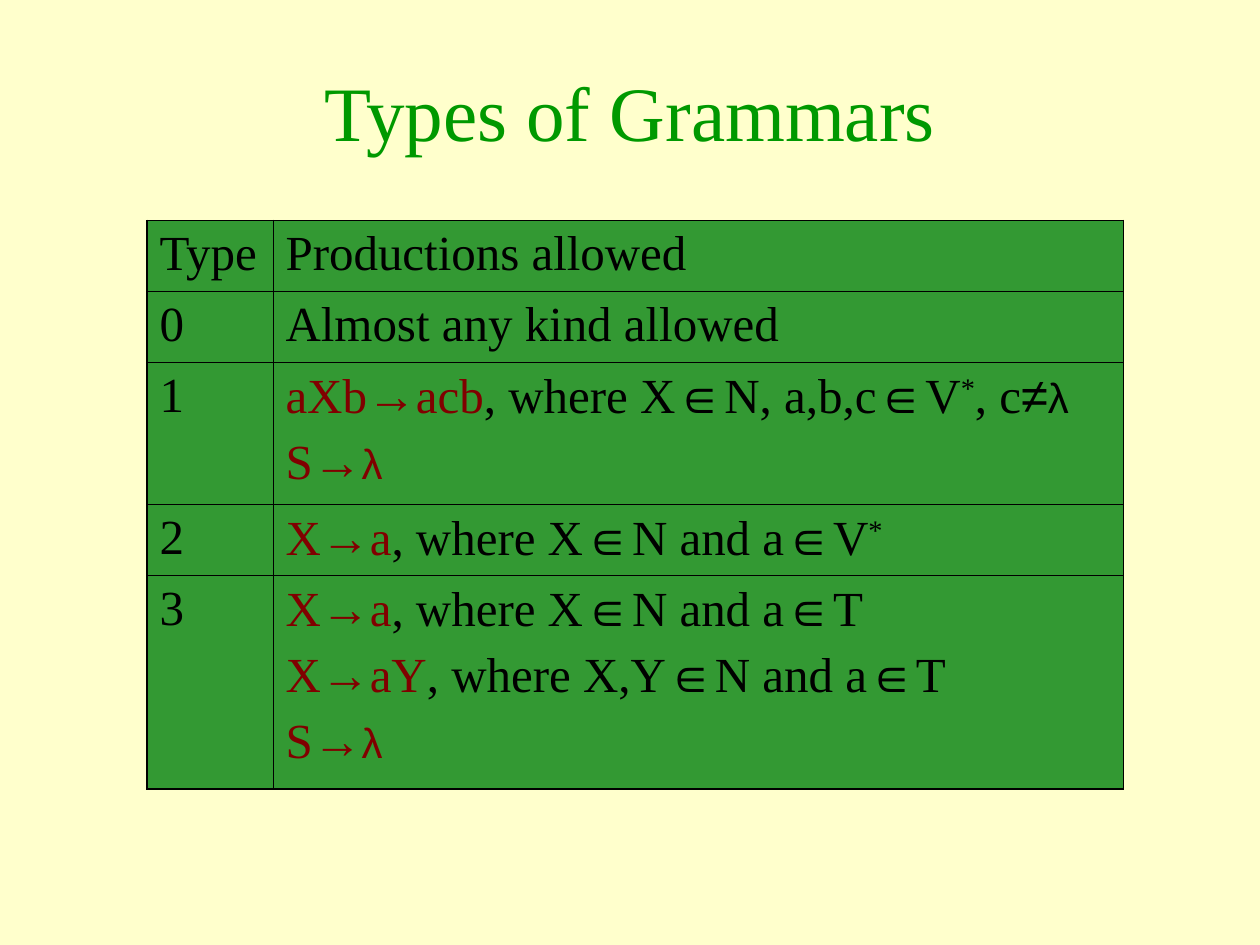
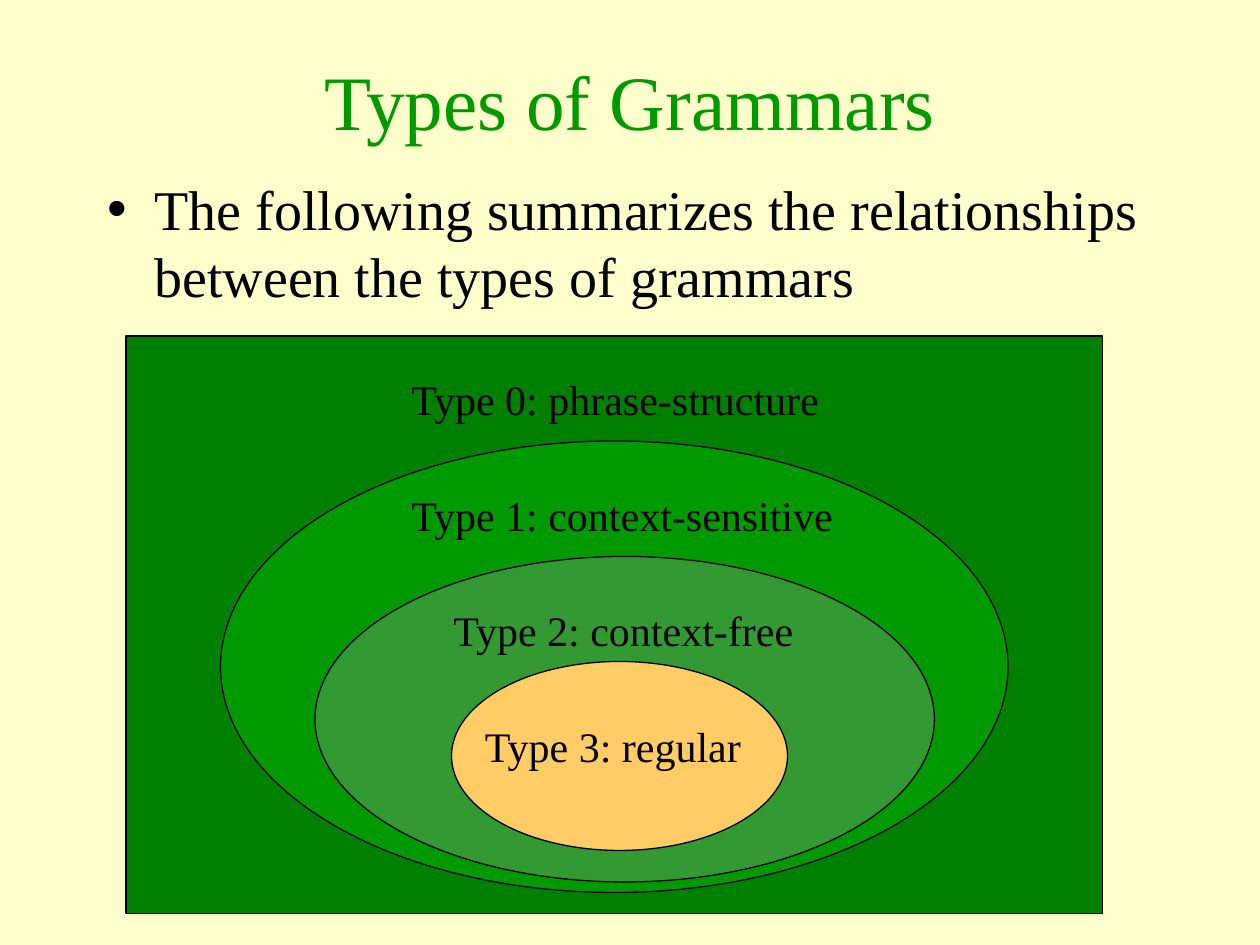
from dataclasses import dataclass
from itertools import groupby

from lxml.etree import SubElement
from pptx import Presentation
from pptx.dml.color import RGBColor
from pptx.enum.shapes import MSO_SHAPE
from pptx.enum.text import MSO_ANCHOR, MSO_AUTO_SIZE, PP_ALIGN
from pptx.oxml.ns import qn
from pptx.util import Pt

SYMBOLS = "→∈≠λ"


@dataclass(frozen=True)
class Theme:
    background: str = "FFFFCC"
    title: str = "009900"
    text: str = "000000"
    production: str = "800000"
    line: str = "000000"
    dark_green: str = "008000"
    green: str = "009900"
    soft_green: str = "339933"
    orange: str = "FFCC66"
    font: str = "Times New Roman"
    symbol_font: str = "Arial"
    title_size: float = 44
    body_size: float = 32
    table_size: float = 28
    label_size: float = 24
    outer_border: float = 1.08
    inner_border: float = 0.45
    outline: float = 0.75


THEME = Theme()


def write_text(paragraph, text, size=THEME.label_size, color=THEME.text,
               font=THEME.font, superscript=False):
    run = paragraph.add_run()
    run.text = text
    run.font.size = Pt(size)
    run.font.name = font
    run.font.color.rgb = RGBColor.from_string(color)
    if superscript:
        run.font._element.set("baseline", "30000")


def character_kind(character):
    return character if character in SYMBOLS + "*" else "letter"


def write_formula(paragraph, text, color):
    """Write letters in the text font, symbols in theirs, and * raised."""
    for kind, characters in groupby(text, character_kind):
        write_text(
            paragraph, "".join(characters), color=color,
            size=THEME.label_size if kind == "λ" else THEME.table_size,
            font=THEME.symbol_font if kind in SYMBOLS else THEME.font,
            superscript=kind == "*")


def set_border(cell, side, width):
    properties = cell._tc.get_or_add_tcPr()
    line = SubElement(properties, qn(f"a:ln{side}"), w=str(int(Pt(width))))
    fill = SubElement(line, qn("a:solidFill"))
    SubElement(fill, qn("a:srgbClr"), val=THEME.line)


class Deck:
    TITLE_AND_BODY, TITLE_ONLY = 1, 5

    def __init__(self, theme):
        self.theme = theme
        self.presentation = Presentation()
        self.presentation.slide_width = Pt(720)
        self.presentation.slide_height = Pt(540)
        self.slide = None
        fill = self.presentation.slide_master.background.fill
        fill.solid()
        fill.fore_color.rgb = RGBColor.from_string(theme.background)

    def add_slide(self, layout, title, title_height):
        layouts = self.presentation.slide_layouts
        self.slide = self.presentation.slides.add_slide(layouts[layout])
        paragraph = self.place(self.slide.shapes.title, 54, 30, 612,
                               title_height, MSO_ANCHOR.MIDDLE)
        paragraph.alignment = PP_ALIGN.CENTER
        write_text(paragraph, title, size=self.theme.title_size,
                   color=self.theme.title)

    def place(self, placeholder, left, top, width, height, anchor):
        """Move a placeholder and return its first paragraph."""
        placeholder.left, placeholder.top = Pt(left), Pt(top)
        placeholder.width, placeholder.height = Pt(width), Pt(height)
        frame = placeholder.text_frame
        frame.auto_size = MSO_AUTO_SIZE.NONE
        frame.vertical_anchor = anchor
        paragraph = frame.paragraphs[0]
        paragraph.space_before = Pt(0)
        return paragraph

    def body(self, text):
        paragraph = self.place(self.slide.placeholders[1], 54, 96, 612, 102,
                               MSO_ANCHOR.TOP)
        write_text(paragraph, text, size=self.theme.body_size)

    def table(self, rows, left, top, widths, line_height):
        """Draw rows of cells; a cell lists (production, remark) lines."""
        heights = [line_height * max(map(len, row)) for row in rows]
        table = self.slide.shapes.add_table(
            len(rows), len(widths), Pt(left), Pt(top),
            Pt(sum(widths)), Pt(sum(heights))).table
        table.first_row = table.horz_banding = False
        for column, width in zip(table.columns, widths):
            column.width = Pt(width)
        last_row, last_column = len(rows) - 1, len(widths) - 1
        for i, row in enumerate(rows):
            table.rows[i].height = Pt(heights[i])
            for j, lines in enumerate(row):
                cell = table.cell(i, j)
                edges = {"L": j == 0, "R": j == last_column,
                         "T": i == 0, "B": i == last_row}
                for side, is_outer in edges.items():
                    set_border(cell, side, self.theme.outer_border if is_outer
                               else self.theme.inner_border)
                self.fill_cell(cell, lines)

    def fill_cell(self, cell, lines):
        cell.fill.solid()
        cell.fill.fore_color.rgb = RGBColor.from_string(self.theme.soft_green)
        frame = cell.text_frame
        for number, (production, remark) in enumerate(lines):
            paragraph = frame.add_paragraph() if number else frame.paragraphs[0]
            paragraph.space_before = Pt(6.5 if number else 0)
            write_formula(paragraph, production, self.theme.production)
            write_formula(paragraph, remark, self.theme.text)

    def group(self):
        return self.slide.shapes.add_group_shape().shapes

    def region(self, shapes, kind, box, color):
        shape = shapes.add_shape(kind, *map(Pt, box))
        shape.shadow.inherit = False
        shape.fill.solid()
        shape.fill.fore_color.rgb = RGBColor.from_string(color)
        shape.line.color.rgb = RGBColor.from_string(self.theme.line)
        shape.line.width = Pt(self.theme.outline)

    def label(self, shapes, text, left, top, width):
        frame = shapes.add_textbox(Pt(left), Pt(top), Pt(width), Pt(36)).text_frame
        frame.word_wrap = False
        frame.auto_size = MSO_AUTO_SIZE.SHAPE_TO_FIT_TEXT
        write_text(frame.paragraphs[0], text)


def add_productions_slide(deck):
    deck.add_slide(deck.TITLE_ONLY, "Types of Grammars", 66)
    productions = {
        "Type": [("", "Productions allowed")],
        "0": [("", "Almost any kind allowed")],
        "1": [("aXb→acb", ", where X∈N, a,b,c∈V*, c≠λ"), ("S→λ", "")],
        "2": [("X→a", ", where X∈N and a∈V*")],
        "3": [("X→a", ", where X∈N and a∈T"),
              ("X→aY", ", where X,Y∈N and a∈T"), ("S→λ", "")],
    }
    rows = [([("", name)], lines) for name, lines in productions.items()]
    deck.table(rows, left=84, top=126, widths=(72, 486), line_height=40.6)


def add_hierarchy_slide(deck):
    deck.add_slide(deck.TITLE_AND_BODY, "Types of Grammars", 54)
    deck.body("The following summarizes the relationships between "
              "the types of grammars")
    theme, shapes = deck.theme, deck.group()
    process, oval = MSO_SHAPE.FLOWCHART_PROCESS, MSO_SHAPE.FLOWCHART_CONNECTOR
    regions = [
        (process, (72, 192, 558, 330), theme.dark_green),
        (oval, (126, 252, 450, 258), theme.green),
        (oval, (180, 318, 354, 186), theme.soft_green),
        (oval, (258, 378, 192, 108), theme.orange),
    ]
    for kind, box, color in regions:
        deck.region(shapes, kind, box, color)
    grammars = [("phrase-structure", 228, 249), ("context-sensitive", 228, 257),
                ("context-free", 252, 210), ("regular", 270, 162)]
    for number, (name, left, width) in enumerate(grammars):
        deck.label(shapes, f"Type {number}: {name}", left, 210 + 66 * number, width)


def main():
    deck = Deck(THEME)
    add_productions_slide(deck)
    add_hierarchy_slide(deck)
    deck.presentation.save("out.pptx")


if __name__ == "__main__":
    main()
